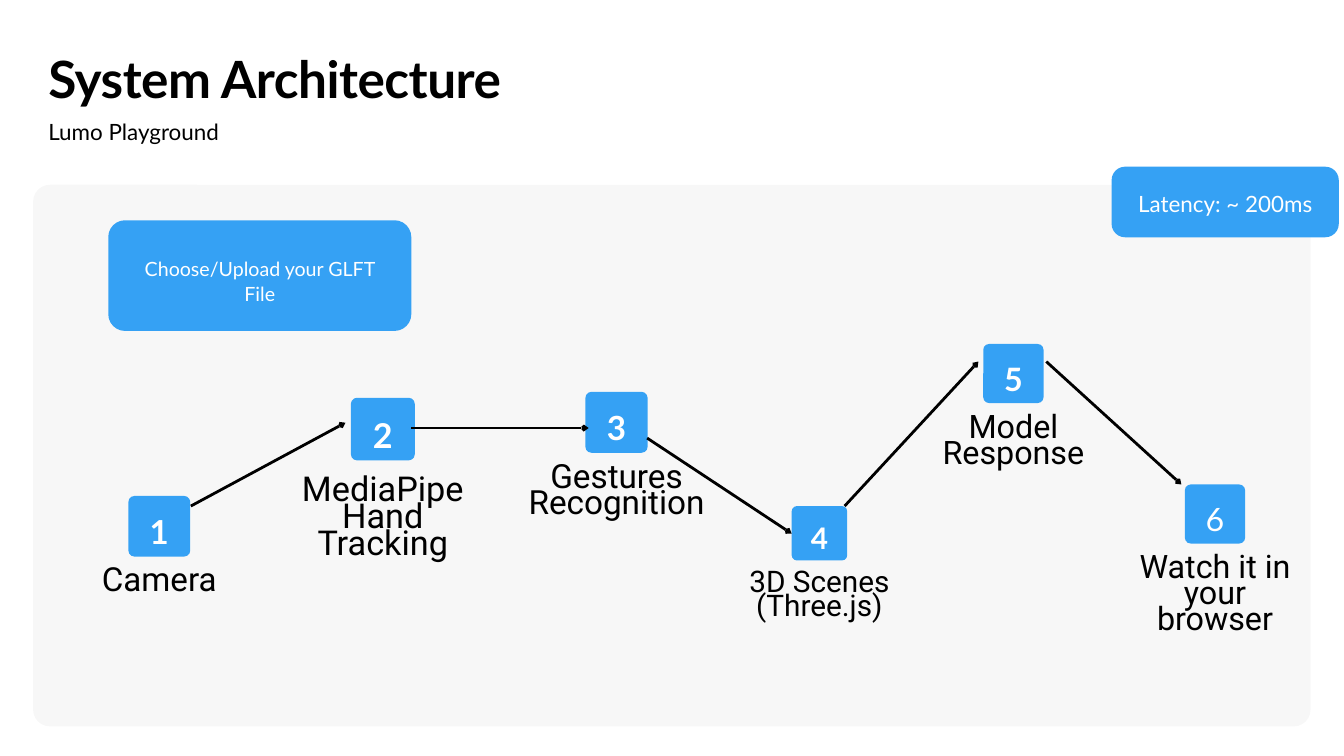
from pptx import Presentation
from pptx.dml.color import RGBColor
from pptx.enum.shapes import MSO_CONNECTOR, MSO_SHAPE
from pptx.enum.text import MSO_ANCHOR, MSO_AUTO_SIZE, PP_ALIGN
from pptx.oxml.ns import qn
from pptx.util import Pt
from lxml import etree

BLACK = RGBColor(0x00, 0x00, 0x00)
WHITE = RGBColor(0xFF, 0xFF, 0xFF)
BLUE = RGBColor(0x35, 0xA1, 0xF4)

deck = Presentation()
deck.slide_width, deck.slide_height = Pt(1440), Pt(810)
page = deck.slides.add_slide(deck.slide_layouts[0])


def write(box, text, size, spacing, color, font="Lato", bold=False,
          align=PP_ALIGN.CENTER, side=0, top=0, tracking=0):
    frame = box.text_frame
    frame_format = {
        "word_wrap": True, "auto_size": MSO_AUTO_SIZE.NONE,
        "vertical_anchor": MSO_ANCHOR.TOP,
        "margin_left": Pt(side), "margin_right": Pt(side),
        "margin_top": Pt(top), "margin_bottom": 0,
    }
    for name, value in frame_format.items():
        setattr(frame, name, value)
    for index, line in enumerate(text.split("\n")):
        para = frame.paragraphs[0] if index == 0 else frame.add_paragraph()
        para_format = {"alignment": align, "line_spacing": Pt(spacing),
                       "space_before": Pt(0)}
        for name, value in para_format.items():
            setattr(para, name, value)
        span = para.add_run()
        span.text = line
        span.font.color.rgb = color
        for name, value in {"name": font, "size": Pt(size), "bold": bold}.items():
            setattr(span.font, name, value)
        if tracking:
            span.font._element.set("spc", str(tracking))


def add_card(left, top, width, height, radius, color):
    card = page.shapes.add_shape(MSO_SHAPE.ROUNDED_RECTANGLE,
                                 Pt(left), Pt(top), Pt(width), Pt(height))
    card.adjustments[0] = radius / min(width, height)
    card.shadow.inherit = False
    card.fill.solid()
    card.fill.fore_color.rgb = color
    card.line.fill.background()
    return card


# Background panel, black at 3 % opacity
panel = add_card(35.5, 198, 1368.7, 580.3, 18, BLACK)
panel_color = panel.fill._xPr.find(qn("a:solidFill"))[0]
etree.SubElement(panel_color, qn("a:alpha"), val="3000")

# Blue notes
latency = add_card(1191, 178.6, 243.4, 75.6, 14.4, BLUE)
write(latency, "Latency: ~ 200ms", 24, 24, WHITE, side=20, top=25.9)
upload = add_card(116, 236, 324.7, 118.6, 18, BLUE)
write(upload, "Choose/Upload your GLFT File", 21, 27.3, WHITE, side=26.6, top=31.8)

# Title and subtitle
headings = [("System Architecture", 39.6, 71.3, 55, 77, True, -50),
            ("Lumo Playground", 121.7, 31, 24, 33.6, False, 0)]
for box, (text, top, height, size, spacing, bold, tracking) in zip(
        page.placeholders, headings):
    box.left, box.top, box.width, box.height = Pt(51.8), Pt(top), Pt(551.5), Pt(height)
    write(box, text, size, spacing, BLACK, bold=bold,
          align=PP_ALIGN.LEFT, tracking=tracking)

# Steps: centre, tile top, label top, label height, label size, label
steps = [
    (170.7, 531.4, 612.7, 36, 35.5, "Camera"),
    (410.2, 426.2, 514.8, 67, 36.7, "MediaPipe Hand Tracking"),
    (660.6, 419.8, 501.8, 64.8, 35.7, "Gestures Recognition"),
    (878, 542.2, 615.6, 58.3, 31.9, "3D Scenes\n(Three.js)"),
    (1085.8, 368.6, 449.3, 34.6, 34.6, "Model Response"),
    (1301.8, 519.1, 599, 62.6, 34.6, "Watch it in your browser"),
]
for number, (center, top, label_top, label_height, size, label) in enumerate(steps, 1):
    # Every step is scaled by its label size
    side, label_width = 1.866 * size, 5.48 * size
    tile = add_card(center - side / 2, top, side, 0.98 * side, 0.18 * size, BLUE)
    digit_size = round(0.996 * size, 1)
    write(tile, str(number), digit_size, 1.4 * digit_size, WHITE,
          bold=number < len(steps), top=0.22 * size, tracking=-30)
    caption = page.shapes.add_textbox(Pt(center - label_width / 2), Pt(label_top),
                                      Pt(label_width), Pt(label_height))
    write(caption, label, size, 0.8 * size, BLACK, font="Roboto")

# Arrows between the steps
arrows = [
    (204.5, 542.2, 370.1, 452.9),
    (440.6, 458.6, 630.7, 458.6),
    (693.4, 469.4, 848.2, 571.7),
    (905, 542.2, 1048.3, 387.4),
    (1121, 387.4, 1265.8, 519.1),
]
for ends in arrows:
    arrow = page.shapes.add_connector(MSO_CONNECTOR.STRAIGHT, *map(Pt, ends))
    arrow.line.color.rgb = BLACK
    arrow.line.width = Pt(3)
    etree.SubElement(arrow.line._get_or_add_ln(), qn("a:tailEnd"),
                     type="arrow", w="sm", len="sm")
    etree.SubElement(arrow._element.spPr, qn("a:effectLst"))

deck.save("out.pptx")
